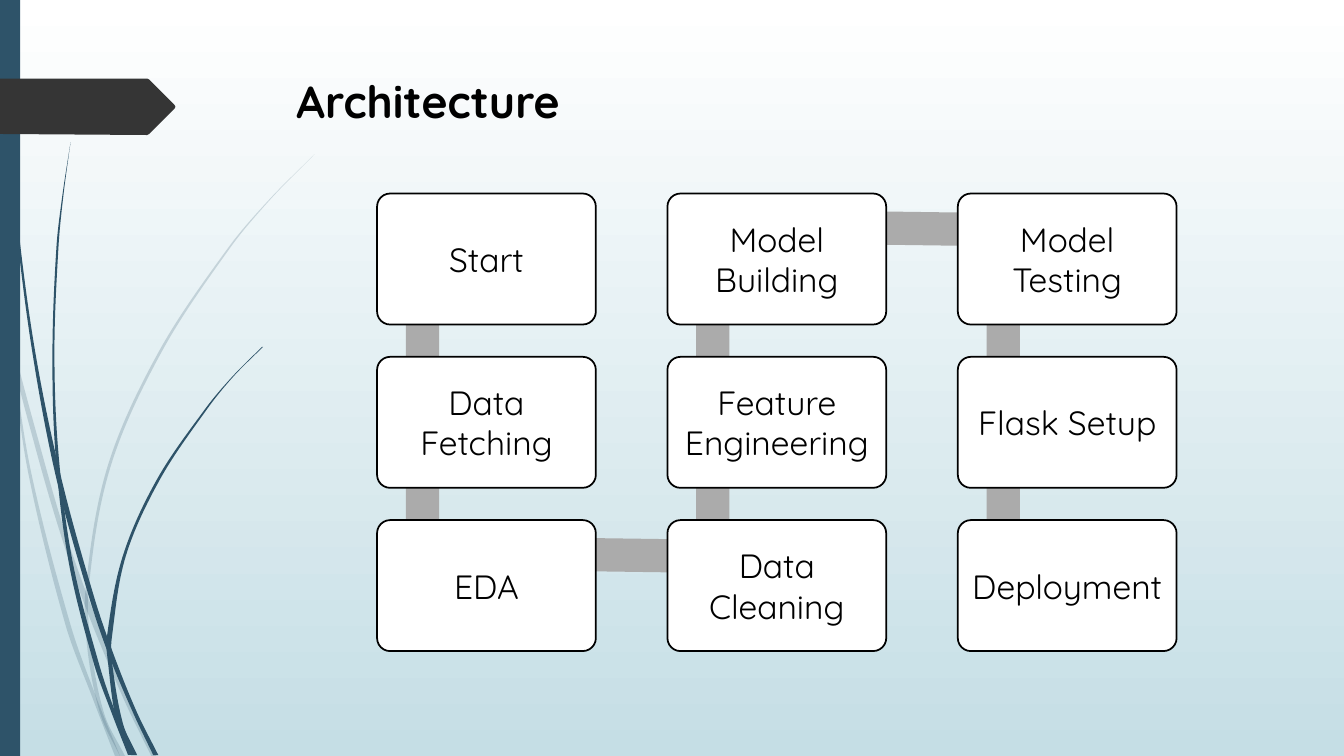
import math
from dataclasses import dataclass

import lxml.etree
import pptx
import pptx.dml.color
import pptx.enum.shapes
import pptx.enum.text
import pptx.oxml.ns
import pptx.util

Inches = pptx.util.Inches
qn = pptx.oxml.ns.qn
SHAPE = pptx.enum.shapes.MSO_SHAPE
ALIGN = pptx.enum.text.PP_ALIGN
ANCHOR = pptx.enum.text.MSO_ANCHOR


@dataclass(frozen=True)
class Theme:
    font: str = "Quicksand"
    title_size: int = 32
    step_size: int = 24
    text: str = "000000"
    accent: str = "2E5369"
    tag: str = "353535"
    link: str = "ABABAB"
    box: str = "FFFFFF"
    bg_top: str = "FFFFFF"
    bg_bottom: str = "C5DEE5"
    pale_alpha: int = 20


THEME = Theme()

# Steps in flow order; the flow snakes down, up and down the columns
STEPS = ["Start", "Data Fetching", "EDA",
         "Data Cleaning", "Feature Engineering", "Model Building",
         "Model Testing", "Flask Setup", "Deployment"]
ROWS = 3
GRID_LEFT, GRID_TOP = 3.74, 1.92
COL_PITCH, ROW_PITCH = 2.88, 1.62
BOX_W, BOX_H = 2.17, 1.3
LINK_DX, LINK_DY, LINK_THICK, LINK_TILT = 0.45, 0.34, 0.33, 0.8

# Grass blades: rows of (y, left edge x, right edge x)
PALE_BLADES = [
    [(2.82, 0, 0), (3.5, 0.11, 0.15), (4.4, 0.34, 0.39), (5.2, 0.57, 0.62),
     (6, 0.84, 0.9), (6.92, 1.22, 1.27), (7.5, 1.5, 1.55)],
    [(3.5, 0.11, 0.12), (4.69, 0.28, 0.31), (6.2, 0.65, 0.7),
     (6.93, 0.92, 0.96), (7.5, 1.14, 1.19)],
    [(1.53, 3.12, 3.12), (1.97, 2.68, 2.69), (2.45, 2.27, 2.29),
     (3.48, 1.58, 1.61), (4.62, 1.07, 1.1), (5.84, 0.85, 0.88),
     (6.46, 0.87, 0.91), (7.1, 1, 1.04), (7.5, 1.19, 1.24)],
]
DARK_BLADES = [
    [(0, 0.03, 0.04), (1.1, 0.07, 0.08), (2.33, 0.17, 0.19),
     (3.55, 0.33, 0.36), (4.75, 0.56, 0.61), (5.91, 0.88, 0.93),
     (6.5, 1.08, 1.13), (7.07, 1.32, 1.36), (7.49, 1.52, 1.57)],
    [(1.41, 0.7, 0.7), (1.93, 0.62, 0.63), (2.45, 0.56, 0.58),
     (3.49, 0.52, 0.54), (4.5, 0.55, 0.58), (5.57, 0.68, 0.72),
     (6.58, 0.93, 0.98), (7.08, 1.11, 1.15), (7.49, 1.27, 1.33)],
    [(3.44, 2.6, 2.61), (3.73, 2.31, 2.32), (4.05, 2.04, 2.06),
     (4.75, 1.56, 1.59), (5.51, 1.22, 1.25), (6.32, 1.06, 1.11),
     (6.56, 1.07, 1.11), (7.18, 1.16, 1.22), (7.49, 1.3, 1.36)],
]


def rgb(color):
    return pptx.dml.color.RGBColor.from_string(color)


def style(sp, color, alpha=None):
    """Plain fill without line or shadow."""
    sp.shadow.inherit = False
    sp.fill.solid()
    sp.fill.fore_color.rgb = rgb(color)
    sp.line.fill.background()
    if alpha is not None:
        clr = next(sp.element.spPr.iter(qn("a:srgbClr")))
        lxml.etree.SubElement(clr, qn("a:alpha"), val=str(alpha * 1000))


def format_text(tf, size, align, bold=False):
    p = tf.paragraphs[0]
    p.alignment = align
    font = p.runs[0].font
    font.name, font.size, font.bold = THEME.font, pptx.util.Pt(size), bold
    font.color.rgb = rgb(THEME.text)


def add_block(slide, shape, left, top, width, height, color):
    sp = slide.shapes.add_shape(shape, Inches(left), Inches(top), Inches(width), Inches(height))
    style(sp, color)
    return sp


def add_outline(slide, points, color, alpha=None):
    start, *rest = [(Inches(x), Inches(y)) for x, y in points]
    builder = slide.shapes.build_freeform(*start)
    builder.add_line_segments(rest, close=True)
    sp = builder.convert_to_shape()
    style(sp, color, alpha)
    return sp


def edge_slopes(knots):
    """Slope dx/dy at each (x, y) knot, taken from its neighbours."""
    last = len(knots) - 1
    slopes = []
    for i in range(last + 1):
        (x0, y0), (x1, y1) = knots[max(i - 1, 0)], knots[min(i + 1, last)]
        slopes.append((x1 - x0) / (y1 - y0))
    return slopes


def curve_segments(sp, slopes):
    """Turn the straight segments of an outline into Bezier curves."""
    points = [(int(pt.get("x")), int(pt.get("y"))) for pt in sp.element.iter(qn("a:pt"))]
    for i, line in enumerate(list(sp.element.iter(qn("a:lnTo")))):
        (x0, y0), (x1, y1) = points[i], points[i + 1]
        third = (y1 - y0) / 3
        controls = [(x0 + slopes[i] * third, y0 + third),
                    (x1 - slopes[i + 1] * third, y1 - third), (x1, y1)]
        curve = lxml.etree.Element(qn("a:cubicBezTo"))
        for x, y in controls:
            lxml.etree.SubElement(curve, qn("a:pt"), x=str(round(x)), y=str(round(y)))
        line.getparent().replace(line, curve)


def add_blade(slide, rows, alpha=None):
    left = [(x, y) for y, x, _ in rows]
    right = [(x, y) for y, _, x in reversed(rows)]
    sp = add_outline(slide, left + right, THEME.accent, alpha)
    curve_segments(sp, edge_slopes(left) + edge_slopes(right))


def box_corner(index):
    col, row = divmod(index, ROWS)
    if col % 2:
        row = ROWS - 1 - row
    return GRID_LEFT + col * COL_PITCH, GRID_TOP + row * ROW_PITCH


def add_link(slide, index):
    """Bar from one step to the next, later covered by their boxes."""
    (x0, y0), (x1, y1) = box_corner(index), box_corner(index + 1)
    length = math.hypot(x1 - x0, y1 - y0)
    cx, cy = (x0 + x1) / 2 + LINK_DX, (y0 + y1) / 2 + LINK_DY
    sp = add_block(slide, SHAPE.RECTANGLE, cx - length / 2, cy - LINK_THICK / 2,
                   length, LINK_THICK, THEME.link)
    tilt = LINK_TILT if x1 > x0 else 0
    sp.rotation = math.degrees(math.atan2(y1 - y0, x1 - x0)) % 360 + tilt


def add_step(slide, index, label):
    sp = add_block(slide, SHAPE.ROUNDED_RECTANGLE, *box_corner(index), BOX_W, BOX_H, THEME.box)
    sp.adjustments[0] = 0.1
    sp.line.color.rgb = rgb(THEME.text)
    sp.line.width = pptx.util.Pt(1.25)
    tf = sp.text_frame
    tf.text = label
    tf.word_wrap = True
    tf.vertical_anchor = ANCHOR.MIDDLE
    tf.margin_left = tf.margin_right = Inches(0.06)
    format_text(tf, THEME.step_size, ALIGN.CENTER)


def set_background(slide):
    fill = slide.background.fill
    fill.gradient()
    fill.gradient_angle = 270
    for stop, color in zip(fill.gradient_stops, (THEME.bg_top, THEME.bg_bottom)):
        stop.color.rgb = rgb(color)


def set_title(slide, text):
    title = slide.shapes.title
    title.left, title.top = Inches(2.84), Inches(0.68)
    title.width, title.height = Inches(9.75), Inches(1.4)
    title.text_frame.text = text
    title.text_frame.vertical_anchor = ANCHOR.TOP
    format_text(title.text_frame, THEME.title_size, ALIGN.LEFT, bold=True)


def main():
    prs = pptx.Presentation()
    prs.slide_width, prs.slide_height = Inches(13.33), Inches(7.5)
    slide = prs.slides.add_slide(prs.slide_layouts[5])
    set_background(slide)
    # Decoration on the left
    for rows in PALE_BLADES:
        add_blade(slide, rows, THEME.pale_alpha)
    for rows in DARK_BLADES:
        add_blade(slide, rows)
    add_block(slide, SHAPE.RECTANGLE, 0, 0, 0.2, 7.5, THEME.accent)
    add_outline(slide, [(0, 0.78), (1.46, 0.78), (1.48, 0.79), (1.73, 1.04), (1.74, 1.06),
                        (1.73, 1.08), (1.48, 1.33), (1.46, 1.34), (0, 1.33)], THEME.tag)
    # Title and flow
    set_title(slide, "Architecture")
    for index in range(len(STEPS) - 1):
        add_link(slide, index)
    for index, label in enumerate(STEPS):
        add_step(slide, index, label)
    prs.save("out.pptx")


if __name__ == "__main__":
    main()
